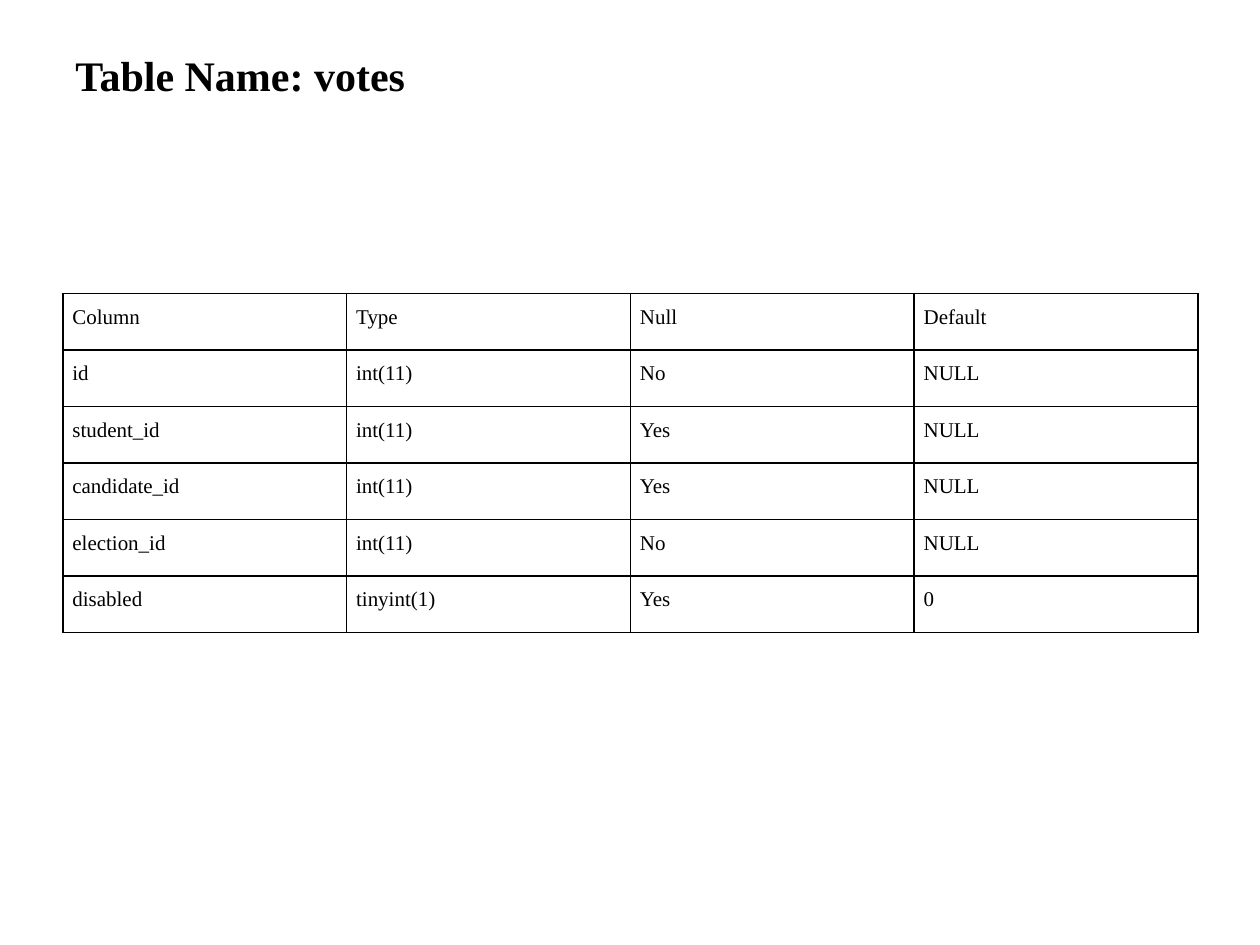
from lxml import etree
from pptx import Presentation
from pptx.dml.color import RGBColor
from pptx.enum import text
from pptx.oxml import ns
from pptx.util import Cm, Pt

TITLE = "Table Name: votes"
ROWS = [
    ("Column", "Type", "Null", "Default"),
    ("id", "int(11)", "No", "NULL"),
    ("student_id", "int(11)", "Yes", "NULL"),
    ("candidate_id", "int(11)", "Yes", "NULL"),
    ("election_id", "int(11)", "No", "NULL"),
    ("disabled", "tinyint(1)", "Yes", "0"),
]
COLORS = {"ink": "000000", "paper": "FFFFFF"}
FONT = "Times New Roman"
COLUMN_WIDTH, ROW_HEIGHT = Cm(5.72), Cm(1.14)
TITLE_FRAME = {
    "word_wrap": False,
    "auto_size": text.MSO_AUTO_SIZE.NONE,
    "vertical_anchor": text.MSO_ANCHOR.TOP,
    "margin_left": Cm(0.25),
    "margin_right": Cm(0.25),
    "margin_top": Cm(0.18),
    "margin_bottom": Cm(0.13),
}
CELL_FORMAT = {
    "margin_left": Cm(0.19),
    "margin_right": Cm(0.19),
    "margin_top": 0,
    "margin_bottom": 0,
}
CELL_PARAGRAPH = {"alignment": text.PP_ALIGN.JUSTIFY, "line_spacing": 1.5}


def apply(target, values):
    for name, value in values.items():
        setattr(target, name, value)


def style_font(font, size, bold=False):
    apply(font, {"name": FONT, "size": Pt(size), "bold": bold})
    font.color.rgb = RGBColor.from_string(COLORS["ink"])


def add_borders(cell):
    properties = cell._tc.get_or_add_tcPr()
    for position, side in enumerate(("lnL", "lnR", "lnT", "lnB")):
        line = etree.Element(ns.qn(f"a:{side}"), w=str(Pt(1)))
        fill = etree.SubElement(line, ns.qn("a:solidFill"))
        etree.SubElement(fill, ns.qn("a:srgbClr"), val=COLORS["ink"])
        properties.insert(position, line)


def add_title(page):
    box = page.shapes.title
    apply(box, {"left": Cm(1.27), "top": Cm(0.81), "width": Cm(7.21), "height": Cm(2.31)})
    frame = box.text_frame
    frame.text = TITLE
    apply(frame, TITLE_FRAME)
    para = frame.paragraphs[0]
    para.alignment = text.PP_ALIGN.LEFT
    style_font(para.runs[0].font, 24, True)


def add_votes_table(page):
    count = len(ROWS[0])
    table = page.shapes.add_table(
        len(ROWS), count, Cm(1.27), Cm(5.92), COLUMN_WIDTH * count, ROW_HEIGHT * len(ROWS)
    ).table
    apply(table, {"first_row": False, "horz_banding": False})
    for row, values in zip(table.rows, ROWS):
        for cell, value in zip(row.cells, values):
            cell.text = value
            apply(cell, CELL_FORMAT)
            cell.fill.solid()
            cell.fill.fore_color.rgb = RGBColor.from_string(COLORS["paper"])
            add_borders(cell)
            para = cell.text_frame.paragraphs[0]
            apply(para, CELL_PARAGRAPH)
            style_font(para.runs[0].font, 12)


def main():
    deck = Presentation()
    apply(deck, {"slide_width": Cm(25.4), "slide_height": Cm(19.05)})
    page = deck.slides.add_slide(deck.slide_layouts[5])
    add_votes_table(page)
    add_title(page)
    deck.save("out.pptx")


if __name__ == "__main__":
    main()
